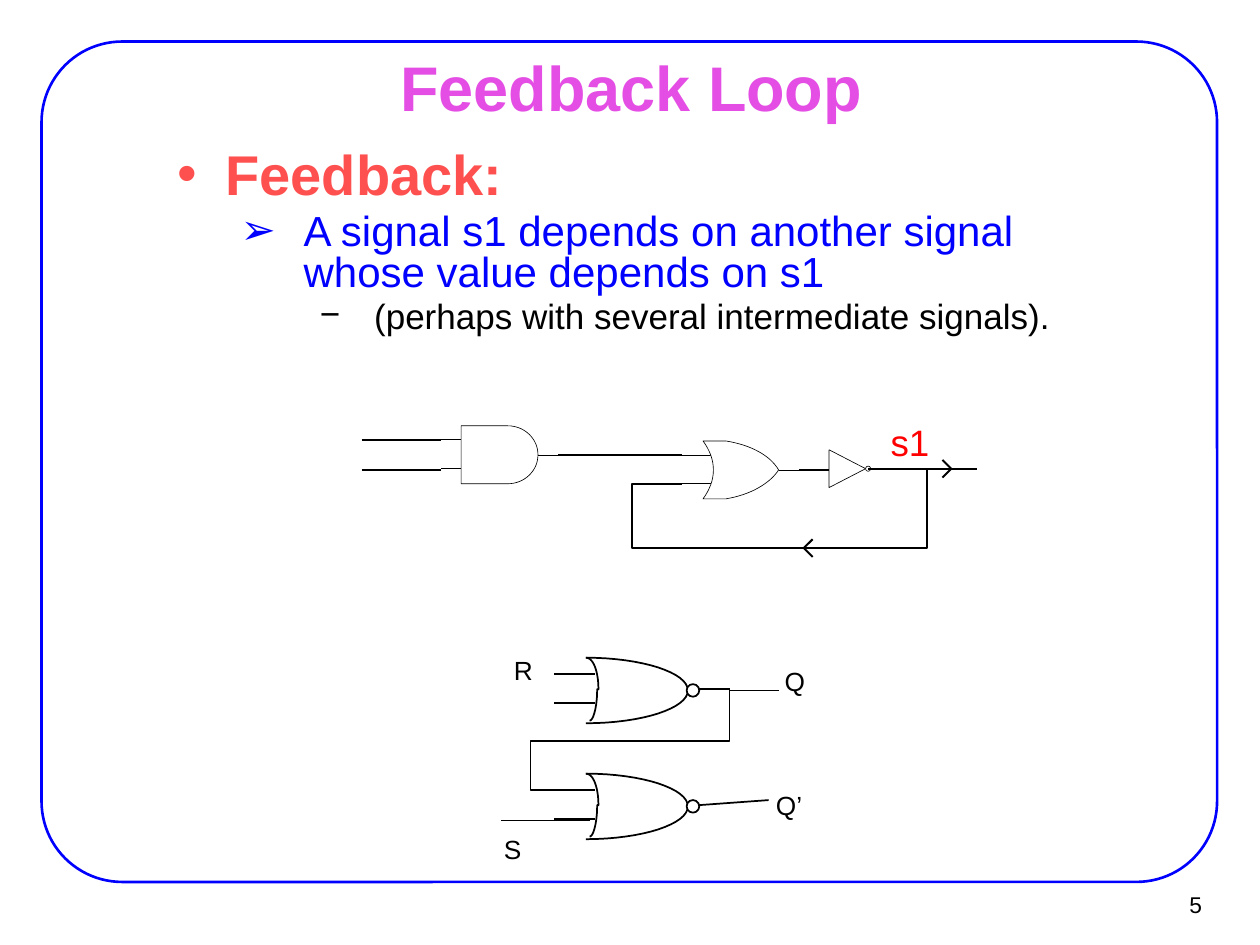
from lxml.etree import SubElement
from pptx import Presentation
from pptx.dml.color import RGBColor
from pptx.enum.shapes import MSO_CONNECTOR as Connector, MSO_SHAPE as Shape
from pptx.enum.text import MSO_ANCHOR as Anchor, PP_ALIGN as Align
from pptx.oxml.ns import qn
from pptx.util import Inches, Pt

BLACK = RGBColor(0, 0, 0)
WHITE = RGBColor(255, 255, 255)
BLUE = RGBColor(0, 0, 255)
RED = RGBColor(255, 0, 0)
PINK = RGBColor(0xE4, 0x4E, 0xE4)
CORAL = RGBColor(0xFF, 0x50, 0x50)
THIN, SIGNAL, LATCH, LOOP = 0.38, 1.13, 1, 0.75


def style(shape, weight, color=BLACK, fill=None):
    shape.shadow.inherit = False
    if fill is None:
        shape.fill.background()
    else:
        shape.fill.solid()
        shape.fill.fore_color.rgb = fill
    shape.line.color.rgb = color
    shape.line.width = Pt(weight)


def preset(slide, kind, box, weight, color=BLACK, fill=None):
    shape = slide.shapes.add_shape(kind, *map(Inches, box))
    style(shape, weight, color, fill)
    return shape


def wire(slide, start, end, weight):
    line = slide.shapes.add_connector(Connector.STRAIGHT, *map(Inches, (*start, *end)))
    line.line.color.rgb = BLACK
    line.line.width = Pt(weight)
    SubElement(line._element.spPr, qn("a:effectLst"))


def outline(slide, points, weight, closed=False):
    (x, y), *rest = [(Inches(px), Inches(py)) for px, py in points]
    builder = slide.shapes.build_freeform(x, y, scale=1.0)
    builder.add_line_segments(rest, close=closed)
    style(builder.convert_to_shape(), weight, fill=WHITE if closed else None)


def curve(*controls, steps=16):
    points = []
    for step in range(steps + 1):
        t = step / steps
        weights = ((1 - t) ** 3, 3 * t * (1 - t) ** 2, 3 * t * t * (1 - t), t ** 3)
        points.append(tuple(sum(w * c[axis] for w, c in zip(weights, controls))
                            for axis in (0, 1)))
    return points


def text_box(slide, box, wrap=True, anchor=Anchor.TOP, inset=(0.1, 0.05)):
    frame = slide.shapes.add_textbox(*map(Inches, box)).text_frame
    frame.word_wrap = wrap
    frame.vertical_anchor = anchor
    frame.margin_left = frame.margin_right = Inches(inset[0])
    frame.margin_top = frame.margin_bottom = Inches(inset[1])
    return frame


def write(paragraph, text, size, color=BLACK, bold=False, align=Align.LEFT, spacing=None):
    paragraph.alignment = align
    paragraph.line_spacing = spacing
    run = paragraph.add_run()
    run.text = text
    run.font.name = "Arial"
    run.font.size = Pt(size)
    run.font.bold = bold
    run.font.color.rgb = color


def bullet(paragraph, mark, left, hanging):
    properties = paragraph._p.get_or_add_pPr()
    properties.set("marL", str(Inches(left)))
    properties.set("indent", str(-Inches(hanging)))
    SubElement(properties, qn("a:buFont")).set("typeface", "Arial")
    SubElement(properties, qn("a:buChar")).set("char", mark)


def body(slide):
    frame = text_box(slide, (1.3, 1.15, 7.8, 1.65), inset=(0.11, 0.06))
    points = [
        ("Feedback:", 32, CORAL, True, "•", 0.38, 0.38),
        ("A signal s1 depends on another signal whose value depends on s1",
         24, BLUE, False, "➢", 1, 0.5),
        ("(perhaps with several intermediate signals).", 20, BLACK, False, "−", 1.56, 0.43),
    ]
    for level, (text, size, color, bold, mark, left, hanging) in enumerate(points):
        paragraph = frame.add_paragraph() if level else frame.paragraphs[0]
        paragraph.level = level
        paragraph.space_before = Pt(size * 0.2)
        write(paragraph, text, size, color, bold, spacing=0.8)
        bullet(paragraph, mark, left, hanging)


def gate_leads(slide, left, top):
    for y in (top, top + 0.23):
        wire(slide, (left, y), (left + 0.47, y), THIN)


def and_gate(slide, left, top):
    gate_leads(slide, left - 0.16, top + 0.11)
    middle, bottom, tip, shoulder = top + 0.23, top + 0.46, left + 0.61, left + 0.37
    wire(slide, (tip, middle), (left + 0.77, middle), THIN)
    nose = (curve((shoulder, top), (left + 0.5, top), (tip, top + 0.1), (tip, middle))
            + curve((tip, middle), (tip, top + 0.36), (left + 0.5, bottom), (shoulder, bottom)))
    outline(slide, [(left, bottom), (left, top), *nose], THIN, closed=True)


def or_gate(slide, left, top):
    gate_leads(slide, left - 0.17, top + 0.11)
    middle, bottom, tip, shoulder = top + 0.23, top + 0.46, left + 0.6, left + 0.18
    wire(slide, (tip, middle), (left + 0.76, middle), THIN)
    edge = (curve((tip, middle), (left + 0.53, top + 0.34), (left + 0.37, top + 0.43),
                  (shoulder, bottom))
            + curve((left, bottom), (left + 0.11, top + 0.31), (left + 0.11, top + 0.15),
                    (left, top))
            + curve((shoulder, top), (left + 0.37, top + 0.03), (left + 0.53, top + 0.11),
                    (tip, middle)))
    outline(slide, edge, THIN, closed=True)


def nor_gate(slide, left, top):
    tip, bottom = left + 0.81, top + 0.52
    front = (curve((left, top), (left + 0.45, top), (tip, top + 0.12), (tip, top + 0.26))
             + curve((tip, top + 0.26), (tip, top + 0.4), (left + 0.45, bottom), (left, bottom)))
    back = (curve((left, top), (left + 0.06, top), (left + 0.1, top + 0.11),
                  (left + 0.1, top + 0.25))
            + curve((left + 0.09, top + 0.25), (left + 0.09, top + 0.39),
                    (left + 0.06, top + 0.5), (left + 0.03, top + 0.5)))
    outline(slide, front, LATCH)
    outline(slide, back, LATCH)
    for y in (top + 0.13, top + 0.36):
        wire(slide, (left - 0.25, y), (left + 0.07, y), LATCH)
    preset(slide, Shape.OVAL, (left + 0.8, top + 0.21, 0.1, 0.1), LATCH, fill=WHITE)


def arrow_mark(slide, tip_x, tip_y, tail_x):
    outline(slide, [(tail_x, tip_y - 0.07), (tip_x, tip_y), (tail_x, tip_y + 0.07)], SIGNAL)


def feedback_circuit(slide):
    and_gate(slide, 3.66, 3.38)
    or_gate(slide, 5.58, 3.5)
    outline(slide, [(6.58, 3.57), (6.87, 3.72), (6.58, 3.87)], THIN, closed=True)
    preset(slide, Shape.OVAL, (6.87, 3.7, 0.04, 0.04), THIN, fill=WHITE)
    for start, end in [((2.87, 3.49), (3.5, 3.49)), ((2.87, 3.73), (3.5, 3.73)),
                       ((4.43, 3.61), (5.41, 3.61)), ((6.34, 3.73), (6.58, 3.73)),
                       ((6.89, 3.72), (7.75, 3.72))]:
        wire(slide, start, end, SIGNAL)
    outline(slide, [(7.36, 3.72), (7.36, 4.35), (5.02, 4.35), (5.02, 3.84), (5.41, 3.84)],
            SIGNAL)
    arrow_mark(slide, 7.55, 3.72, 7.48)
    arrow_mark(slide, 6.38, 4.35, 6.45)
    write(text_box(slide, (6.97, 3.28, 0.71, 0.45)).paragraphs[0], "s1", 21, RED)


def latch_circuit(slide):
    for top in (5.22, 6.14):
        nor_gate(slide, 4.65, top)
    wire(slide, (5.55, 5.47), (5.79, 5.47), LATCH)
    wire(slide, (5.55, 6.39), (6.1, 6.35), LATCH)
    outline(slide, [(5.79, 5.48), (5.79, 5.88), (4.21, 5.88), (4.21, 6.27), (4.68, 6.27)], LOOP)
    wire(slide, (3.98, 6.51), (4.68, 6.51), LOOP)
    wire(slide, (5.79, 5.48), (6.18, 5.48), LOOP)
    for name, left, top, width in [("R", 3.98, 5.17, 0.35), ("S", 3.9, 6.59, 0.34),
                                   ("Q", 6.13, 5.26, 0.36), ("Q’", 6.06, 6.24, 0.41)]:
        label = text_box(slide, (left, top, width, 0.33), wrap=False)
        write(label.paragraphs[0], name, 15, spacing=0.9)


def main():
    deck = Presentation()
    deck.slide_width, deck.slide_height = Inches(10), Inches(7.5)
    slide = deck.slides.add_slide(deck.slide_layouts[6])
    border = preset(slide, Shape.ROUNDED_RECTANGLE, (0.33, 0.33, 9.33, 6.67), 1.5, BLUE)
    border.adjustments[0] = 0.096
    number = text_box(slide, (9.02, 6.99, 0.61, 0.37), False, Anchor.MIDDLE, (0.09, 0.04))
    write(number.paragraphs[0], "5", 13, align=Align.RIGHT)
    title = text_box(slide, (0.76, 0.44, 8.5, 0.49), True, Anchor.MIDDLE, (0.11, 0.06))
    write(title.paragraphs[0], "Feedback Loop", 36, PINK, True, Align.CENTER)
    body(slide)
    feedback_circuit(slide)
    latch_circuit(slide)
    deck.save("out.pptx")


if __name__ == "__main__":
    main()
